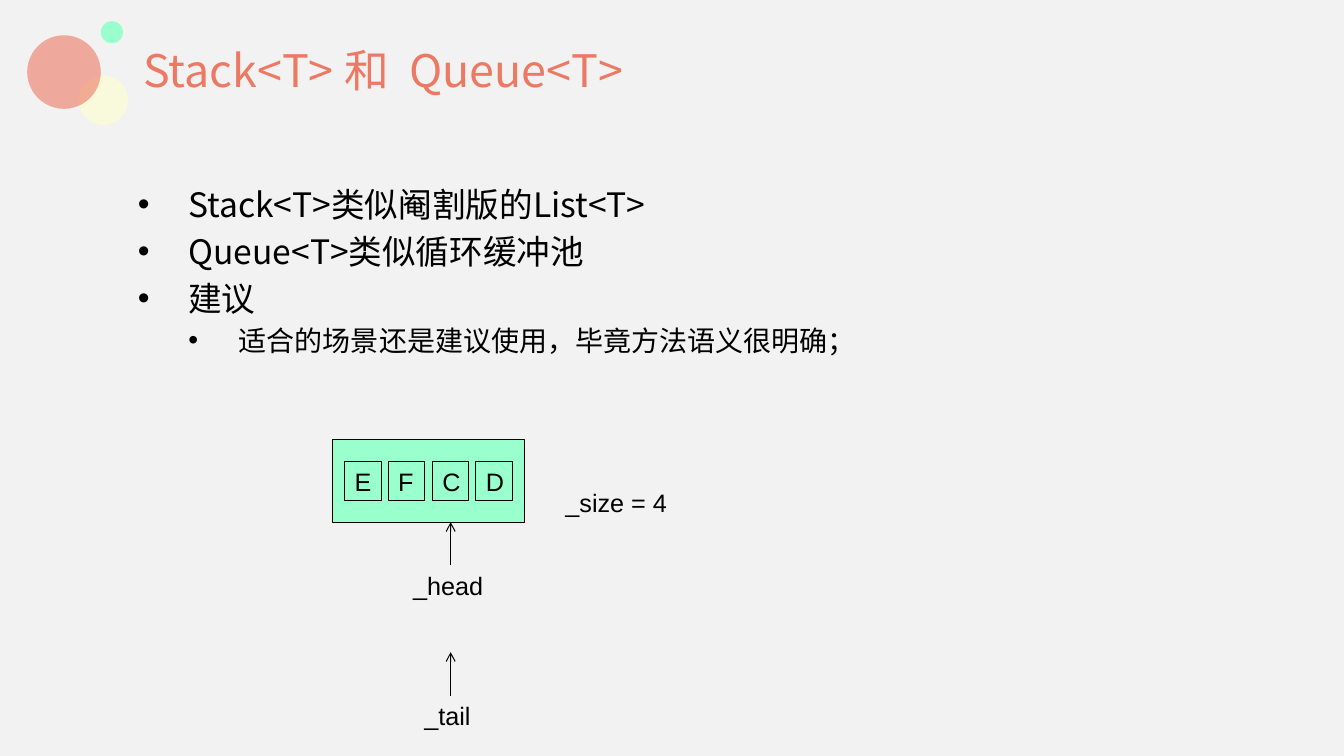
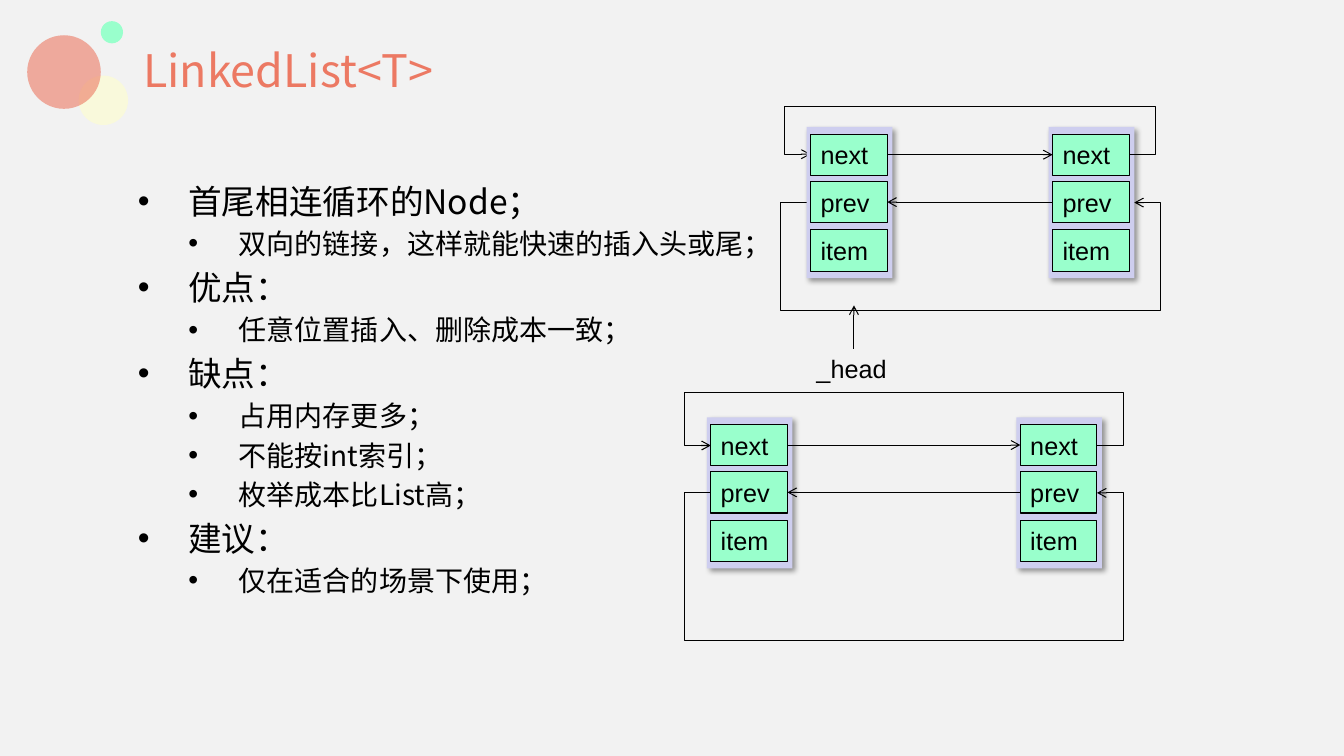
from lxml.etree import SubElement
from pptx import Presentation
from pptx.dml.color import RGBColor
from pptx.enum.shapes import MSO_CONNECTOR, MSO_SHAPE
from pptx.enum.text import MSO_ANCHOR, PP_ALIGN
from pptx.oxml.ns import qn
from pptx.util import Emu, Pt

PX = 9144
COLORS = {
    "paper": "F2F2F2",
    "coral": "EC7963",
    "cream": "FFFFCC",
    "mint": "99FFCC",
    "lavender": "CECEEF",
    "ink": "000000",
}
HEADING_FONT = "Noto Sans CJK SC"
LABEL_FONT = "Arial"
BODY_SIZES = (24, 20)
LOOP_STUB = 26
NODE_FIELDS = {"next": 7, "prev": 54, "item": 102}

STACK_QUEUE_POINTS = [
    (0, "Stack<T>类似阉割版的List<T>"),
    (0, "Queue<T>类似循环缓冲池"),
    (0, "建议"),
    (1, "适合的场景还是建议使用，毕竟方法语义很明确；"),
]
LINKED_LIST_POINTS = [
    (0, "首尾相连循环的Node；"),
    (1, "双向的链接，这样就能快速的插入头或尾；"),
    (0, "优点："),
    (1, "任意位置插入、删除成本一致；"),
    (0, "缺点："),
    (1, "占用内存更多；"),
    (1, "不能按int索引；"),
    (1, "枚举成本比List高；"),
    (0, "建议："),
    (1, "仅在适合的场景下使用；"),
]


def px(*lengths):
    """Turn px lengths into EMU."""
    return [Emu(length * PX) for length in lengths]


def color(name):
    """Look up a palette colour."""
    return RGBColor.from_string(COLORS[name])


def set_font(paragraph, face, size, ink="ink"):
    """Set Latin and East Asian font, size and colour of a paragraph."""
    paragraph.font.name = face
    paragraph.font.size = Pt(size)
    paragraph.font.color.rgb = color(ink)
    SubElement(paragraph._p.pPr.find(qn("a:defRPr")), qn("a:ea"), typeface=face)


def add_block(slide, kind, box, fill, outlined=False):
    """Add a filled preset shape without shadow."""
    block = slide.shapes.add_shape(kind, *px(*box))
    block.shadow.inherit = False
    block.fill.solid()
    block.fill.fore_color.rgb = color(fill)
    if outlined:
        block.line.color.rgb = color("ink")
        block.line.width = Pt(0.75)
    else:
        block.line.fill.background()
    return block


def add_cell(slide, box, caption):
    """Add an outlined mint cell with a caption."""
    cell = add_block(slide, MSO_SHAPE.RECTANGLE, box, "mint", outlined=True)
    cell.text_frame.word_wrap = True
    cell.text_frame.vertical_anchor = MSO_ANCHOR.MIDDLE
    caption_line = cell.text_frame.paragraphs[0]
    caption_line.text = caption
    caption_line.alignment = PP_ALIGN.LEFT
    set_font(caption_line, LABEL_FONT, 18)
    return cell


def add_text(slide, box, text, face, size, ink="ink"):
    """Add a wrapped text box with one paragraph."""
    text_box = slide.shapes.add_textbox(*px(*box))
    text_box.text_frame.word_wrap = True
    line = text_box.text_frame.paragraphs[0]
    line.text = text
    set_font(line, face, size, ink)
    return text_box


def style_arrow(path_shape):
    """Give a line a thin black stroke and an open arrowhead at its end."""
    path_shape.line.color.rgb = color("ink")
    path_shape.line.width = Pt(0.75)
    SubElement(path_shape.line._get_or_add_ln(), qn("a:tailEnd"), type="arrow")


def add_arrow(slide, start=(0, 0), end=(0, 0)):
    """Add a straight arrow."""
    arrow = slide.shapes.add_connector(MSO_CONNECTOR.STRAIGHT, *px(*start, *end))
    style_arrow(arrow)
    SubElement(arrow._element.spPr, qn("a:effectLst"))
    return arrow


def add_loop(slide, start, end, y, turn_y):
    """Add an arrow that runs outward, around by turn_y and back in."""
    stub = LOOP_STUB if start > end else -LOOP_STUB
    builder = slide.shapes.build_freeform(start, y, scale=PX)
    builder.add_line_segments(
        [
            (start + stub, y),
            (start + stub, turn_y),
            (end - stub, turn_y),
            (end - stub, y),
            (end, y),
        ],
        close=False,
    )
    loop = builder.convert_to_shape()
    loop.shadow.inherit = False
    loop.fill.background()
    style_arrow(loop)


def add_pointer(slide, x, tip, name, width):
    """Add a named arrow that points up to tip."""
    top = tip + 43
    label = add_text(slide, (x - width // 2, top, width, 40), name, LABEL_FONT, 18)
    arrow = add_arrow(slide, (x, top), (x, tip))
    arrow.begin_connect(label, 0)


def add_node(slide, left, top):
    """Add a shadowed list node and return its next and prev cells."""
    frame = add_block(slide, MSO_SHAPE.RECTANGLE, (left, top, 85, 150), "lavender")
    effects = frame._element.spPr.find(qn("a:effectLst"))
    shadow = SubElement(
        effects, qn("a:outerShdw"), blurRad="50800", dist="38100", dir="2700000"
    )
    shade = SubElement(shadow, qn("a:srgbClr"), val=COLORS["ink"])
    SubElement(shade, qn("a:alpha"), val="40000")
    cells = [
        add_cell(slide, (left + 4, top + drop, 76, 41), field)
        for field, drop in NODE_FIELDS.items()
    ]
    return cells[:2]


def link_nodes(slide, first, second):
    """Join two nodes by their next and prev arrows."""
    for source, source_side, target, target_side in (
        (first[0], 3, second[0], 1),
        (second[1], 1, first[1], 3),
    ):
        arrow = add_arrow(slide)
        arrow.begin_connect(source, source_side)
        arrow.end_connect(target, target_side)


def add_bullets(slide, top, points):
    """Add the two-level bullet list."""
    body = slide.shapes.add_textbox(*px(127, top, 1140, 495)).text_frame
    body.word_wrap = True
    body.margin_top = px(7)[0]
    for index, (level, point) in enumerate(points):
        line = body.add_paragraph() if index else body.paragraphs[0]
        line.text = point
        line.level = level
        line.space_before = Pt(BODY_SIZES[level] / 5)
        props = line._p.get_or_add_pPr()
        props.set("marL", str(50 * PX * (level + 1)))
        props.set("indent", str(-50 * PX))
        SubElement(props, qn("a:buFont"), typeface=LABEL_FONT)
        SubElement(props, qn("a:buChar"), char="•")
        set_font(line, HEADING_FONT, BODY_SIZES[level])


def start_slide(deck, title):
    """Add a slide with the shared background, circles and title."""
    slide = deck.slides.add_slide(deck.slide_layouts[6])
    slide.background.fill.solid()
    slide.background.fill.fore_color.rgb = color("paper")
    for left, top, size, fill, opacity in (
        (78, 75, 49, "cream", 60),
        (27, 35, 73, "coral", 60),
        (100, 21, 22, "mint", 100),
    ):
        circle = add_block(slide, MSO_SHAPE.OVAL, (left, top, size, size), fill)
        if opacity < 100:
            tint = circle._element.spPr.find(qn("a:solidFill"))[0]
            SubElement(tint, qn("a:alpha"), val=str(opacity * 1000))
    heading = add_text(slide, (132, 22, 1135, 95), title, HEADING_FONT, 32, "coral")
    heading.text_frame.vertical_anchor = MSO_ANCHOR.MIDDLE
    return slide


def build_stack_queue(deck):
    """Build the stack and queue slide."""
    slide = start_slide(deck, "Stack<T> 和  Queue<T>")
    add_bullets(slide, 175, STACK_QUEUE_POINTS)
    add_block(slide, MSO_SHAPE.RECTANGLE, (330, 436, 190, 82), "mint", outlined=True)
    for index, item in enumerate("EFCD"):
        add_cell(slide, (342 + 43 * index + index // 2, 458, 36, 39), item)
    add_pointer(slide, 447, 518, "_head", 94)
    add_pointer(slide, 447, 647, "_tail", 72)
    add_text(slide, (551, 479, 278, 40), "_size = 4", LABEL_FONT, 18)


def build_linked_list(deck):
    """Build the linked list slide."""
    slide = start_slide(deck, "LinkedList<T>")
    add_bullets(slide, 172, LINKED_LIST_POINTS)

    last = add_node(slide, 1040, 126)
    add_loop(slide, 1120, 804, 153, 106)
    add_loop(slide, 800, 1125, 201, 308)
    first = add_node(slide, 800, 126)
    link_nodes(slide, first, last)
    add_pointer(slide, 847, 303, "_head", 94)

    first, last = [add_node(slide, left, 414) for left in (701, 1008)]
    add_loop(slide, 1088, 705, 442, 389)
    add_loop(slide, 705, 1088, 489, 635)
    link_nodes(slide, first, last)


def main():
    """Build and save the deck."""
    deck = Presentation()
    deck.slide_width, deck.slide_height = px(1333, 750)
    build_stack_queue(deck)
    build_linked_list(deck)
    deck.save("out.pptx")


if __name__ == "__main__":
    main()
